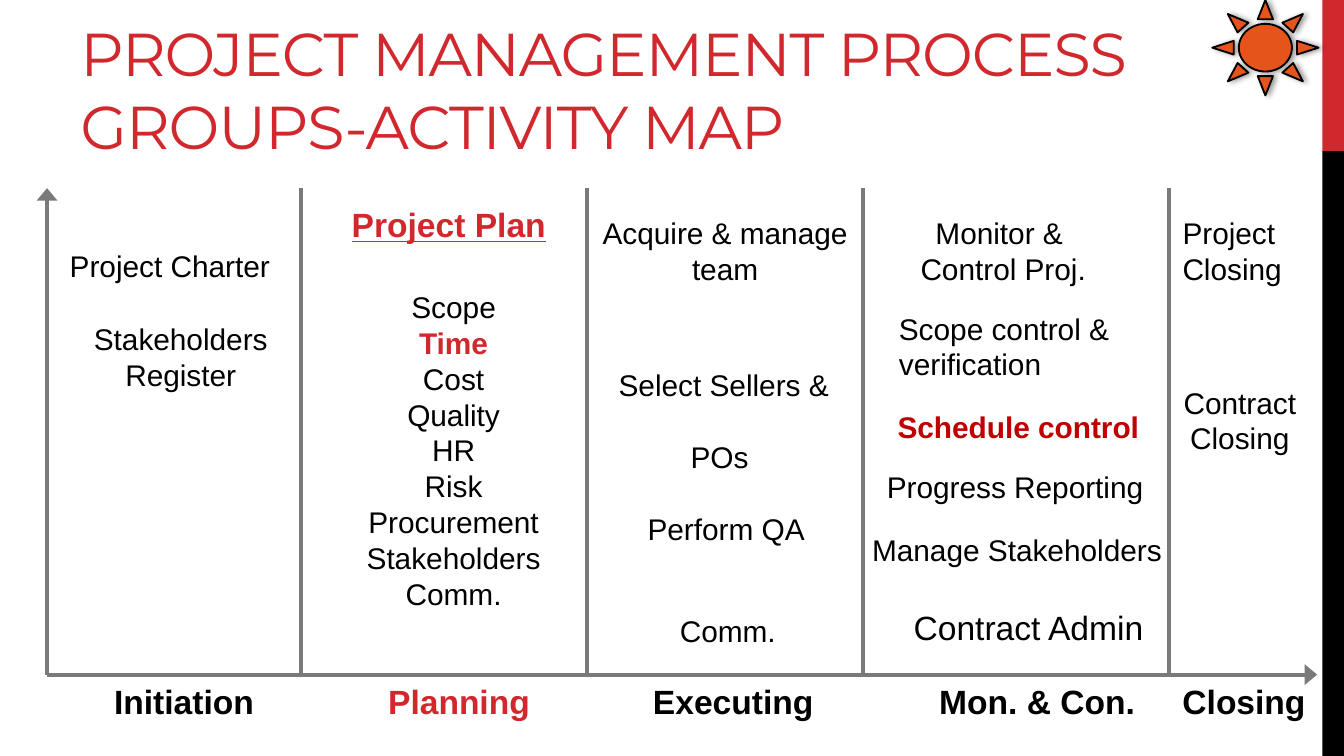
from lxml import etree
from pptx import Presentation
from pptx.dml.color import RGBColor
from pptx.enum.shapes import MSO_CONNECTOR, MSO_SHAPE
from pptx.enum.text import MSO_ANCHOR, MSO_AUTO_SIZE, PP_ALIGN
from pptx.oxml.ns import qn
from pptx.util import Inches, Pt

STRAIGHT = MSO_CONNECTOR.STRAIGHT
RECTANGLE, SUN = MSO_SHAPE.RECTANGLE, MSO_SHAPE.SUN
BOTTOM = MSO_ANCHOR.BOTTOM
GROW = MSO_AUTO_SIZE.SHAPE_TO_FIT_TEXT
LEFT, CENTER = PP_ALIGN.LEFT, PP_ALIGN.CENTER

COLORS = {
    "red": "D1282E",
    "dark red": "C00000",
    "black": "000000",
    "gray": "7A7A7A",
    "orange": "E5551B",
}
WIDTH = 10
HEIGHT = WIDTH * 9 / 16
BAND_WIDTH, BAND_SPLIT = 0.16, HEIGHT / 5
MAP_TOP, MAP_BOTTOM, MAP_RIGHT = 1.4, 5.02, 9.8
COLUMN_LEFTS = [0.35, 2.24, 4.37, 6.42, 8.7]

# One entry per column: name, offset from the column's left side, width, color
GROUPS = [
    ("Initiation", 0.4, 1.25, "black"),
    ("Planning", 0.55, 1.27, "red"),
    ("Executing", 0.39, 1.41, "black"),
    ("Mon. & Con.", 0.47, 1.67, "black"),
    ("Closing", 0, 1.13, "black"),
]
PLAN_PARTS = ("Scope\nTime\nCost\nQuality\nHR\nRisk\n"
              "Procurement\nStakeholders\nComm.")
# Column, text, offset from the column's left side, top, width, alignment
ACTIVITIES = [
    (0, "Project Charter", 0.07, 1.79, 1.71, LEFT),
    (0, "Stakeholders\nRegister", 0.24, 2.34, 1.51, CENTER),
    (1, PLAN_PARTS, 0.38, 2.1, 1.51, CENTER),
    (2, "Acquire & manage\nteam", 0, 1.55, 2.05, CENTER),
    (2, "Perform QA", 0.35, 3.75, 1.38, LEFT),
    (2, "Comm.", 0.59, 4.51, 0.92, LEFT),
    (3, "Monitor & \nControl Proj.", 0.32, 1.55, 1.45, CENTER),
    (3, "Scope control &\nverification", 0.17, 2.26, 1.8, LEFT),
    (3, "Progress Reporting", 0.08, 3.44, 2.14, LEFT),
    (3, "Manage Stakeholders", -0.03, 3.91, 2.38, LEFT),
    (4, "Project\nClosing", 0, 1.55, 0.95, LEFT),
    (4, "Contract\nClosing", 0, 2.81, 1.05, CENTER),
]


def rgb(name):
    return RGBColor.from_string(COLORS[name])


def format_paragraph(paragraph, size, color="black", bold=False, font="Arial"):
    for run in paragraph.runs:
        run.font.name = font
        run.font.size = Pt(size)
        run.font.bold = bold
        run.font.color.rgb = rgb(color)


def add_label(slide, column, text, offset, top, width, alignment=LEFT,
              size=16, color="black", bold=False):
    """Add text beside a column's left side and return its paragraphs."""
    height = 0.1 + (text.count("\n") + 1) * size / 60
    box = slide.shapes.add_textbox(
        Inches(COLUMN_LEFTS[column] + offset), Inches(top),
        Inches(width), Inches(height))
    frame = box.text_frame
    frame.word_wrap = False
    frame.auto_size = GROW
    frame.text = text
    for paragraph in frame.paragraphs:
        paragraph.alignment = alignment
        format_paragraph(paragraph, size, color, bold)
    return frame.paragraphs


def add_title(slide, text):
    box = slide.shapes.add_textbox(
        Inches(0.5), Inches(0.13), Inches(9.15), Inches(1.12))
    frame = box.text_frame
    frame.word_wrap = True
    frame.vertical_anchor = BOTTOM
    frame.text = text
    paragraph = frame.paragraphs[0]
    format_paragraph(paragraph, 32.4, "red", font="Montserrat")
    paragraph.runs[0].font._element.set("spc", "-60")


def add_shape(slide, kind, left, top, width, height, fill):
    shape = slide.shapes.add_shape(
        kind, Inches(left), Inches(top), Inches(width), Inches(height))
    shape.shadow.inherit = False
    shape.fill.solid()
    shape.fill.fore_color.rgb = rgb(fill)
    shape.line.fill.background()
    return shape


def add_line(slide, start, end, arrow=False):
    connector = slide.shapes.add_connector(
        STRAIGHT, *(Inches(length) for length in (*start, *end)))
    connector.line.color.rgb = rgb("gray")
    connector.line.width = Pt(2.25)
    if arrow:
        line = connector.line._get_or_add_ln()
        etree.SubElement(line, qn("a:tailEnd"), type="triangle", w="lg",
                         len="med")
    etree.SubElement(connector._element.spPr, qn("a:effectLst"))


def add_sun(slide):
    sun = add_shape(slide, SUN, 9.02, 0, 0.79, 0.71, "orange")
    sun.line.color.rgb = rgb("black")
    sun.line.width = Pt(1)
    effects = sun._element.spPr.find(qn("a:effectLst"))
    shadow = etree.SubElement(
        effects, qn("a:outerShdw"), blurRad=str(Pt(3.1)), dist=str(Pt(1.8)),
        dir="0", algn="l", rotWithShape="0")
    color = etree.SubElement(shadow, qn("a:srgbClr"), val=COLORS["black"])
    etree.SubElement(color, qn("a:alpha"), val="40000")


def add_side_band(slide):
    left = WIDTH - BAND_WIDTH
    add_shape(slide, RECTANGLE, left, 0, BAND_WIDTH, BAND_SPLIT, "red")
    add_shape(slide, RECTANGLE, left, BAND_SPLIT, BAND_WIDTH,
              HEIGHT - BAND_SPLIT, "black")


def add_axes(slide):
    origin = (COLUMN_LEFTS[0], MAP_BOTTOM)
    add_line(slide, origin, (MAP_RIGHT, MAP_BOTTOM), arrow=True)
    add_line(slide, origin, (COLUMN_LEFTS[0], MAP_TOP), arrow=True)
    for left in COLUMN_LEFTS[1:]:
        add_line(slide, (left, MAP_TOP), (left, MAP_BOTTOM))


def add_activities(slide):
    for column, (name, offset, width, color) in enumerate(GROUPS):
        add_label(slide, column, name, offset, MAP_BOTTOM, width,
                  size=18, color=color, bold=True)

    for activity in ACTIVITIES:
        paragraphs = add_label(slide, *activity)
        for paragraph in paragraphs:
            if paragraph.text == "Time":
                format_paragraph(paragraph, 16, "red", bold=True)

    heading = add_label(slide, 1, "Project Plan", 0.27, 1.47, 1.66, CENTER,
                        size=18, color="red", bold=True)
    heading[0].runs[0].font.underline = True
    sellers = add_label(slide, 2, "Select Sellers &\nPOs ", 0.12, 2.68, 1.79,
                        CENTER)
    sellers[1].space_before = Pt(19.2)
    add_label(slide, 3, "Schedule control", 0.16, 2.99, 2.02,
              color="dark red", bold=True)
    add_label(slide, 3, "Contract Admin", 0.28, 4.47, 1.93, size=18)


def main():
    presentation = Presentation()
    presentation.slide_width = Inches(WIDTH)
    presentation.slide_height = Inches(HEIGHT)
    slide = presentation.slides.add_slide(presentation.slide_layouts[6])
    add_side_band(slide)
    add_title(slide, "PROJECT MANAGEMENT PROCESS GROUPS-ACTIVITY MAP")
    add_axes(slide)
    add_activities(slide)
    add_sun(slide)
    presentation.save("out.pptx")


if __name__ == "__main__":
    main()
